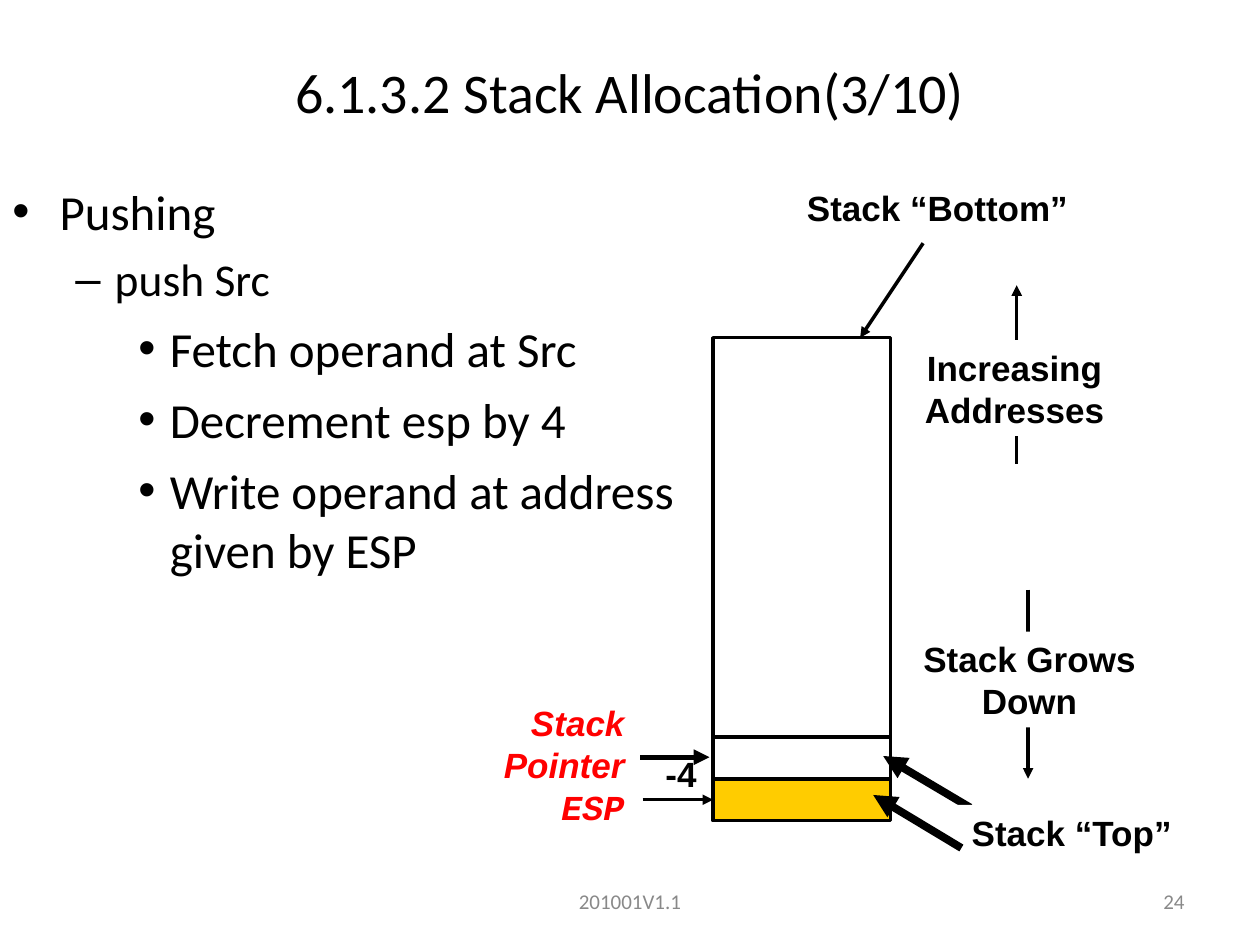
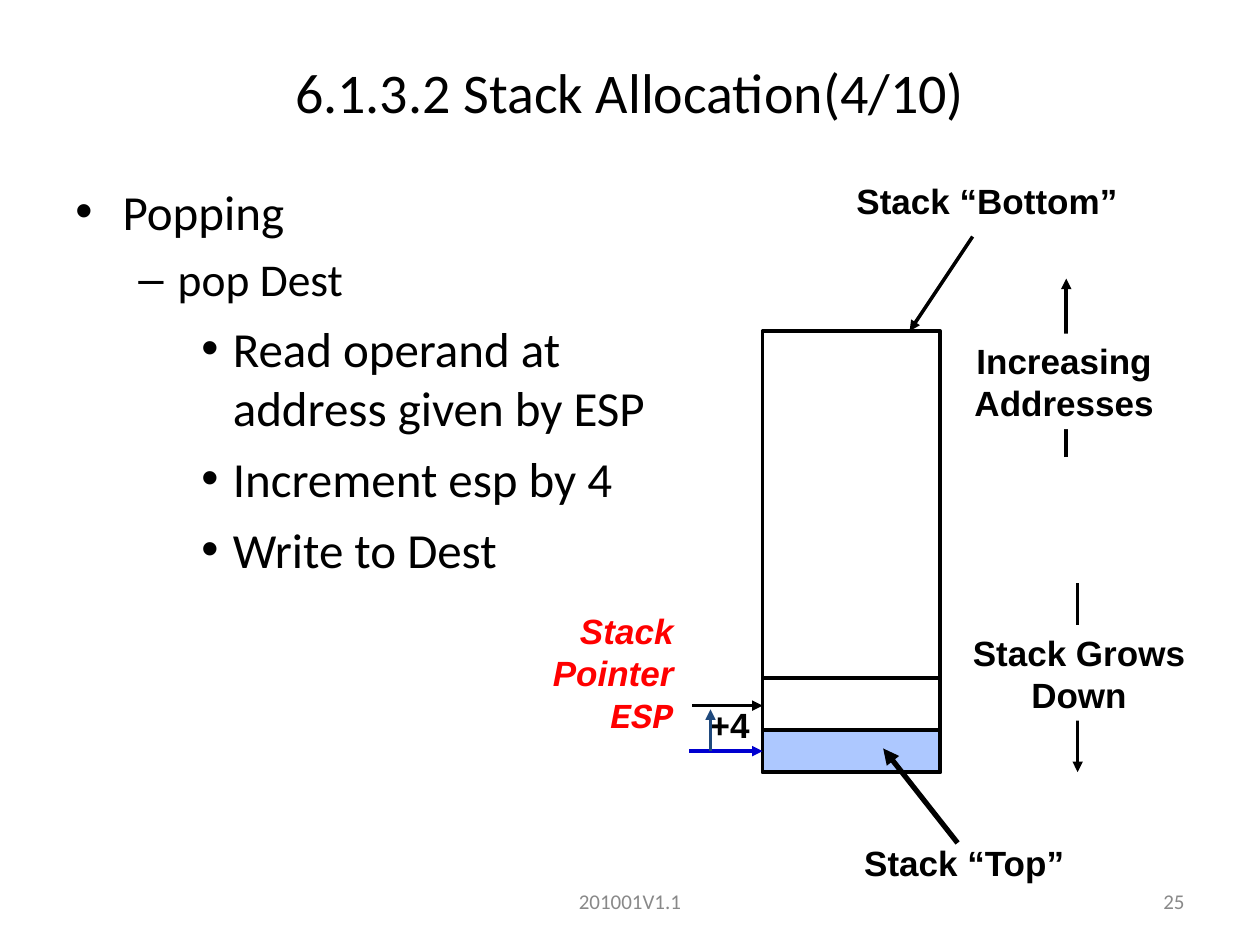
from lxml import etree
from pptx import Presentation, util as u
from pptx.dml import color as c
from pptx.enum import shapes as s, text as t
from pptx.oxml import ns

BLACK, WHITE, GREY, RED = "000000", "FFFFFF", "898989", "FF0000"
GOLD, PALE, BLUE, NAVY = "FFCC00", "ADC8FF", "0000D0", "1F497D"
LEFT, MID, RIGHT = t.PP_ALIGN.LEFT, t.PP_ALIGN.CENTER, t.PP_ALIGN.RIGHT
WIDE, TALL, CELL = 101.5, 252, 24
LEVELS = [("•", 27, 27, 28, 7), ("–", 58.5, 22.5, 26, 6.5), ("•", 90, 18, 28, 7)]


def paint(part, hue):
    """Give a solid colour to a font, or to a fill."""
    if hasattr(part, "solid"):
        part.solid()
        part.fore_color.rgb = c.RGBColor.from_string(hue)
    else:
        part.color.rgb = c.RGBColor.from_string(hue)


def text(slide, box, lines, size=20, face="Arial", hue=BLACK, bold=False,
         slant=False, align=MID, mid=False, wrap=True, fill=None, pad=7.2, lead=None):
    """Add a text box with one paragraph per line and return its paragraphs."""
    shape = slide.shapes.add_textbox(*map(u.Pt, box))
    if fill:
        paint(shape.fill, fill)
    frame = shape.text_frame
    frame.word_wrap = wrap
    frame.margin_left = frame.margin_right = u.Pt(pad)
    frame.margin_top = frame.margin_bottom = u.Pt(3.6)
    frame.vertical_anchor = t.MSO_ANCHOR.MIDDLE if mid else t.MSO_ANCHOR.TOP
    for n, line in enumerate(lines):
        par = frame.paragraphs[0] if n == 0 else frame.add_paragraph()
        par.alignment = align
        if lead:
            par.line_spacing = lead
        run = par.add_run()
        run.text = line
        font = run.font
        font.size, font.name, font.bold, font.italic = u.Pt(size), face, bold, slant
        paint(font, hue)
    return frame.paragraphs


def label(slide, box, *lines):
    """Add a bold caption on white."""
    text(slide, box, lines, bold=True, wrap=False, fill=WHITE)


def rect(slide, box, fill):
    """Add an outlined rectangle."""
    shape = slide.shapes.add_shape(s.MSO_SHAPE.RECTANGLE, *map(u.Pt, box))
    shape.shadow.inherit = False
    paint(shape.fill, fill)
    paint(shape.line.fill, BLACK)
    shape.line.width = u.Pt(2)
    return shape


def line(slide, start, end, width=2, hue=BLACK, head=True, goal=None):
    """Draw a line or arrow, joined to the left side of a goal if given."""
    link = slide.shapes.add_connector(
        s.MSO_CONNECTOR.STRAIGHT, *map(u.Pt, (*start, *end)))
    paint(link.line.fill, hue)
    link.line.width = u.Pt(width)
    if head:
        etree.SubElement(link.line._get_or_add_ln(), ns.qn("a:tailEnd"), type="triangle")
    etree.SubElement(link._element.spPr, ns.qn("a:effectLst"))
    if goal is not None:
        link.end_connect(goal, 1)


def outline(slide, box, items):
    """Add a bulleted list of (level, text) items."""
    pars = text(slide, box, [item for _, item in items], face="Calibri", align=LEFT)
    for n, (par, (level, _)) in enumerate(zip(pars, items)):
        mark, left, hang, size, gap = LEVELS[level]
        par.level = level
        props = par._p.get_or_add_pPr()
        props.set("marL", str(u.Pt(left)))
        props.set("indent", str(-u.Pt(hang)))
        etree.SubElement(props, ns.qn("a:buFont"), typeface="Arial")
        etree.SubElement(props, ns.qn("a:buChar"), char=mark)
        par.space_before = u.Pt(gap if n else 0)
        par.runs[0].font.size = u.Pt(size)


def page(deck, part, number):
    """Add a slide with its title and footers."""
    slide = deck.slides.add_slide(deck.slide_layouts[6])
    small = dict(size=12, face="Calibri", hue=GREY, mid=True)
    text(slide, (246, 500.4, 228, 28.8), ["201001V1.1"], **small)
    text(slide, (516, 500.4, 168, 28.8), [str(number)], align=RIGHT, **small)
    text(slide, (0, 21.6, 720, 61.2), [f"6.1.3.2 Stack Allocation({part}/10)"],
         size=32, face="Calibri", mid=True)
    return slide


def stack(slide, x, y):
    """Draw the stack with its captions and direction arrows."""
    rect(slide, (x, y, WIDE, TALL), WHITE)
    line(slide, (x + 180, y + 144), (x + 180, y + TALL))
    label(slide, (x + 105.8, y + 168, 150, 54.7), "Stack Grows", "Down")
    line(slide, (x + 173.5, y + 72), (x + 173.5, y - 30))
    label(slide, (x + 107.3, y + 1.4, 130, 54.7), "Increasing", "Addresses")
    label(slide, (x + 43.2, y - 90, 170, 31), "Stack “Bottom”")
    line(slide, (x + 120, y - 54), (x + 84, y))


def split(slide, x, y, width=2):
    """Draw a divider across the stack."""
    line(slide, (x, y), (x + WIDE, y), width, head=False)


def esp(slide, x, y):
    """Add the stack pointer caption."""
    pars = text(slide, (x, y, 90, 79.2), ["Stack", "Pointer", "ESP"], hue=RED,
                bold=True, slant=True, align=RIGHT, wrap=False)
    pars[-1].runs[0].font.name = "Courier New"


def step(slide, box, change):
    """Add the change made to the pointer."""
    text(slide, box, [change], bold=True, wrap=False, pad=3.6, lead=0.9)


def push(deck):
    """Build the slide on pushing."""
    slide = page(deck, 3, 24)
    x, y = 407.5, 193
    base = y + TALL
    outline(slide, (0, 100, 429, 382), [
        (0, "Pushing"), (1, "push Src"), (2, "Fetch operand at Src"),
        (2, "Decrement esp by 4"), (2, "Write operand at address given by ESP")])
    stack(slide, x, y)
    line(slide, (365.8, 432.7), (405.4, 432.7), 3)
    line(slide, (554.4, 461.5), (504.7, 432), 4.5)
    label(slide, (545.4, 460, 134, 31), "Stack “Top”")
    split(slide, x, 421.2)
    cell = rect(slide, (x, base, WIDE, CELL), GOLD)
    mid = base + CELL / 2
    line(slide, (367.2, mid), (x, mid), goal=cell)
    esp(slide, 274, 397.4)
    step(slide, (374.2, 429, 30, 28.8), "-4")
    line(slide, (549.4, 484.6), (499, 454.3), 4.5)


def pop(deck):
    """Build the slide on popping."""
    slide = page(deck, 4, 25)
    x, y = 435.8, 189.2
    top = y + TALL - CELL
    mid = top + CELL / 2
    outline(slide, (36, 100, 369.4, 382), [
        (0, "Popping"), (1, "pop Dest"), (2, "Read operand at address given by ESP"),
        (2, "Increment esp by 4"), (2, "Write to Dest")])
    line(slide, (395.6, 403.2), (x, 403.2))
    esp(slide, 302, 345)
    stack(slide, x, y)
    label(slide, (484, 477.4, 134, 31), "Stack “Top”")
    step(slide, (399.4, 401, 35, 28.8), "+4")
    cell = rect(slide, (x, top, WIDE, CELL), PALE)
    line(slide, (394, mid), (x, mid), hue=BLUE, goal=cell)
    line(slide, (406, mid), (406, 405.4), 1.5, NAVY)
    line(slide, (547.2, 481.7), (504.7, 427.7), 3)
    split(slide, x, 387.4, 2.25)


def main():
    """Build and save the deck."""
    deck = Presentation()
    deck.slide_width, deck.slide_height = u.Pt(720), u.Pt(540)
    push(deck)
    pop(deck)
    deck.save("out.pptx")


if __name__ == "__main__":
    main()
